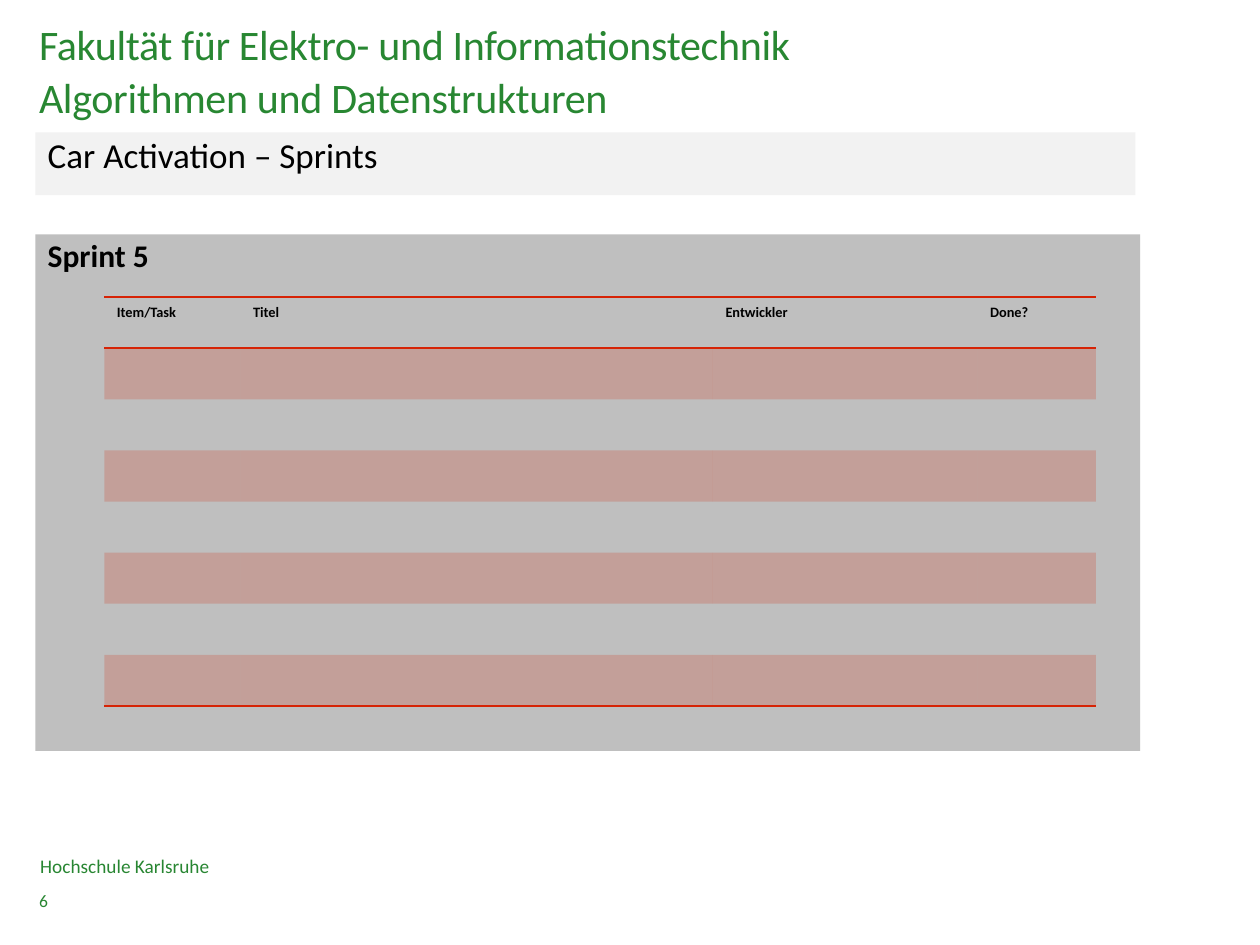
from lxml.etree import SubElement as Sub
from pptx import Presentation
from pptx.dml.color import RGBColor as RGB
from pptx.enum.shapes import MSO_SHAPE as Shape
from pptx.enum.text import MSO_ANCHOR as Anchor, MSO_AUTO_SIZE as Fit, PP_ALIGN as Align
from pptx.oxml.ns import qn
from pptx.util import Pt

# Content
TITLE = ["Fakultät für Elektro- und Informationstechnik",
         "Algorithmen und Datenstrukturen"]
# text, box, fill, size, bold
BANDS = [
    ("Car Activation – Sprints", (20.2, 75.6, 628.6, 36), "F2F2F2", 20, False),
    ("Sprint 5", (20.2, 133.9, 631.4, 295.2), "BFBFBF", 18, True),
]
# text, box, size, anchor
NOTES = [
    ("6", (22.3, 508.3, 243.4, 7.9), 10, Anchor.TOP),
    ("Hochschule Karlsruhe", (23, 491, 625.7, 7.9), 11, Anchor.MIDDLE),
]
HEADS = [("Item/Task", 77.8), ("Titel", 270), ("Entwickler", 151.2), ("Done?", 67.7)]
ROWS, ROW_H = 8, 29.2
RED, BLACK = "D62305", "000000"
NO_STYLE = "{2D5ABB26-0587-4C30-8999-92F81FD0307C}"


def color(text):
    return RGB.from_string(text)


def pts(*nums):
    return [Pt(n) for n in nums]


def add_run(par, text, size, tone, bold=False):
    run = par.add_run()
    run.text = text
    font = run.font
    font.name, font.size, font.bold = "Calibri", Pt(size), bold
    font.color.rgb = color(tone)
    return run


def set_frame(frame, anchor, inset=None):
    frame.word_wrap, frame.auto_size = True, Fit.NONE
    frame.vertical_anchor = anchor
    if inset is not None:
        frame.margin_left = frame.margin_right = Pt(inset)
        frame.margin_top = frame.margin_bottom = Pt(inset)


def add_edge(cell, side):
    # Borders come before the fill in the cell properties
    props = cell._tc.get_or_add_tcPr()
    line = Sub(props, qn("a:" + side), w=str(Pt(1)))
    fill = Sub(line, qn("a:solidFill"))
    Sub(fill, qn("a:srgbClr"), val=RED)


def fill_cell(cell, tinted):
    if not tinted:
        cell.fill.background()
        return
    cell.fill.solid()
    cell.fill.fore_color.rgb = color(RED)
    tone = cell._tc.tcPr.find(".//" + qn("a:solidFill") + "[last()]/" + qn("a:srgbClr"))
    for tone in cell._tc.tcPr.findall(qn("a:solidFill") + "/" + qn("a:srgbClr")):
        Sub(tone, qn("a:alpha"), val="20000")


def add_title(slide):
    title = slide.shapes.title
    title.left, title.top, title.width, title.height = pts(22.3, 9.4, 626.4, 66.2)
    frame = title.text_frame
    set_frame(frame, Anchor.TOP, 0)
    for i, text in enumerate(TITLE):
        par = frame.add_paragraph() if i else frame.paragraphs[0]
        par.alignment, par.line_spacing = Align.LEFT, Pt(30)
        par.space_before = Pt(0)
        run = add_run(par, text, 24, "288732")
        run._r.get_or_add_rPr().set("spc", "-20")


def add_band(slide, text, box, fill, size, bold):
    band = slide.shapes.add_shape(Shape.RECTANGLE, *pts(*box))
    band.shadow.inherit = False
    band.fill.solid()
    band.fill.fore_color.rgb = color(fill)
    band.line.fill.background()
    set_frame(band.text_frame, Anchor.TOP)
    par = band.text_frame.paragraphs[0]
    par.alignment, par.line_spacing = Align.LEFT, 0.9
    add_run(par, text, size, BLACK, bold)


def add_note(slide, text, box, size, anchor):
    frame = slide.shapes.add_textbox(*pts(*box)).text_frame
    set_frame(frame, anchor, 0)
    add_run(frame.paragraphs[0], text, size, "288632")


def add_tasks(slide):
    width = sum(w for _, w in HEADS)
    box = pts(59.6, 169.8, width, ROWS * ROW_H)
    table = slide.shapes.add_table(ROWS, len(HEADS), *box).table
    table._tbl.tblPr.find(qn("a:tableStyleId")).text = NO_STYLE
    for row in table.rows:
        row.height = Pt(ROW_H)
    for c, (head, wide) in enumerate(HEADS):
        table.columns[c].width = Pt(wide)
        add_run(table.cell(0, c).text_frame.paragraphs[0], head, 8.2, BLACK, True)
        for r in range(ROWS):
            cell = table.cell(r, c)
            if r == 0:
                add_edge(cell, "lnT")
            if r in (0, ROWS - 1):
                add_edge(cell, "lnB")
            fill_cell(cell, r % 2 == 1)


def main():
    deck = Presentation()
    deck.slide_width, deck.slide_height = pts(720, 540)
    slide = deck.slides.add_slide(deck.slide_layouts[5])
    add_title(slide)
    for note in NOTES:
        add_note(slide, *note)
    for band in BANDS:
        add_band(slide, *band)
    add_tasks(slide)
    deck.save("out.pptx")


if __name__ == "__main__":
    main()
